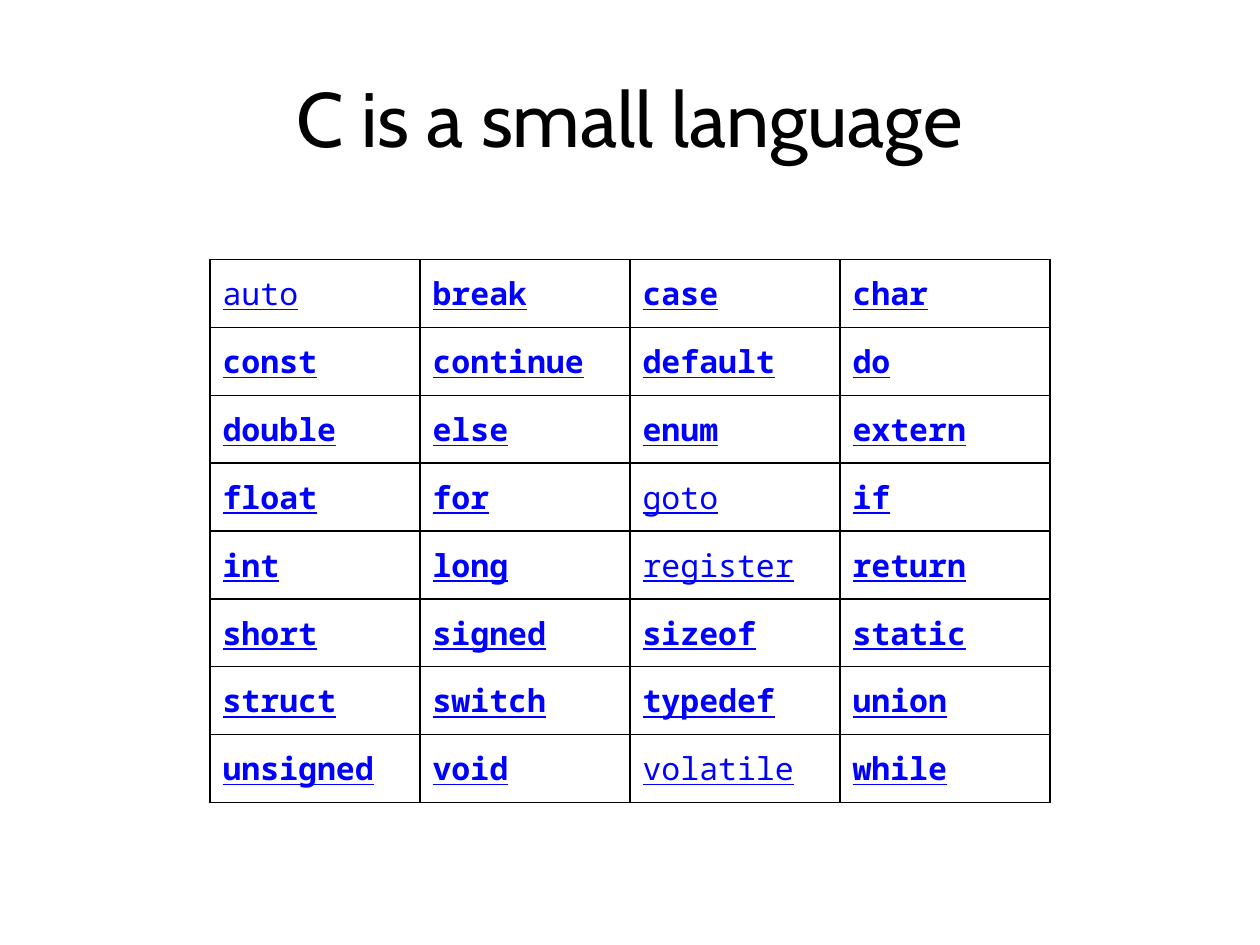
from dataclasses import dataclass

from pptx import Presentation
from pptx.dml.color import RGBColor as Color
from pptx.enum.text import MSO_ANCHOR as Anchor, PP_ALIGN as Align
from pptx.oxml import parse_xml
from pptx.oxml.ns import nsdecls
from pptx.util import Inches, Pt


@dataclass(frozen=True)
class Theme:
    title_font: str = "Cabin"
    code_font: str = "Noto Sans Mono"
    title_size: int = 44
    code_size: int = 18
    ink: str = "000000"
    link: str = "0000FF"
    border: float = 1


class SlideBuilder:
    """Places elements by shares of the slide's size."""

    def __init__(self, deck, theme):
        self.deck = deck
        self.theme = theme
        self.slide = deck.slides.add_slide(deck.slide_layouts[6])

    def place(self, left, top, width, height):
        across, down = self.deck.slide_width, self.deck.slide_height
        return [round(share * size) for share, size in
                zip((left, top, width, height), (across, down, across, down))]

    def style(self, font, name, size, color):
        font.name, font.size = name, Pt(size)
        font.color.rgb = Color.from_string(color)

    def title(self, text, *area):
        box = self.slide.shapes.add_textbox(*self.place(*area))
        frame = box.text_frame
        frame.word_wrap = True
        frame.vertical_anchor = Anchor.MIDDLE
        para = frame.paragraphs[0]
        para.text = text
        para.alignment = Align.CENTER
        self.style(para.font, self.theme.title_font, self.theme.title_size, self.theme.ink)

    def border(self, cell):
        properties = cell._tc.get_or_add_tcPr()
        for side in ("lnL", "lnR", "lnT", "lnB"):
            properties.append(parse_xml(
                f'<a:{side} {nsdecls("a")} w="{Pt(self.theme.border)}"><a:solidFill>'
                f'<a:srgbClr val="{self.theme.ink}"/></a:solidFill></a:{side}>'))

    def keyword(self, cell, word, bold):
        cell.margin_left = cell.margin_top = Inches(0.1)
        cell.margin_right, cell.margin_bottom = Inches(0.08), Inches(0.12)
        cell.vertical_anchor = Anchor.MIDDLE
        self.border(cell)
        cell.fill.background()
        para = cell.text_frame.paragraphs[0]
        para.text = word
        self.style(para.font, self.theme.code_font, self.theme.code_size, self.theme.link)
        para.font.underline = True
        para.font.bold = bold

    def keyword_table(self, rows, plain, *area):
        shape = self.slide.shapes.add_table(len(rows), len(rows[0]), *self.place(*area))
        table = shape.table
        table.first_row = table.horz_banding = False
        for row, words in zip(table.rows, rows):
            for cell, word in zip(row.cells, words):
                self.keyword(cell, word, word not in plain)


KEYWORDS = [line.split() for line in (
    "auto break case char",
    "const continue default do",
    "double else enum extern",
    "float for goto if",
    "int long register return",
    "short signed sizeof static",
    "struct switch typedef union",
    "unsigned void volatile while",
)]
PLAIN = {"auto", "goto", "register", "volatile"}


def main():
    deck = Presentation()
    deck.slide_width, deck.slide_height = Inches(10), Inches(7.5)
    page = SlideBuilder(deck, Theme())

    # Title
    page.title("C is a small language", 0.05, 0.04, 0.9, 1 / 6)

    # Keywords: the middle four of six slide columns
    page.keyword_table(KEYWORDS, PLAIN, 1 / 6, 2.06 / 7.5, 4 / 6, 4.31 / 7.5)

    deck.save("out.pptx")


if __name__ == "__main__":
    main()
